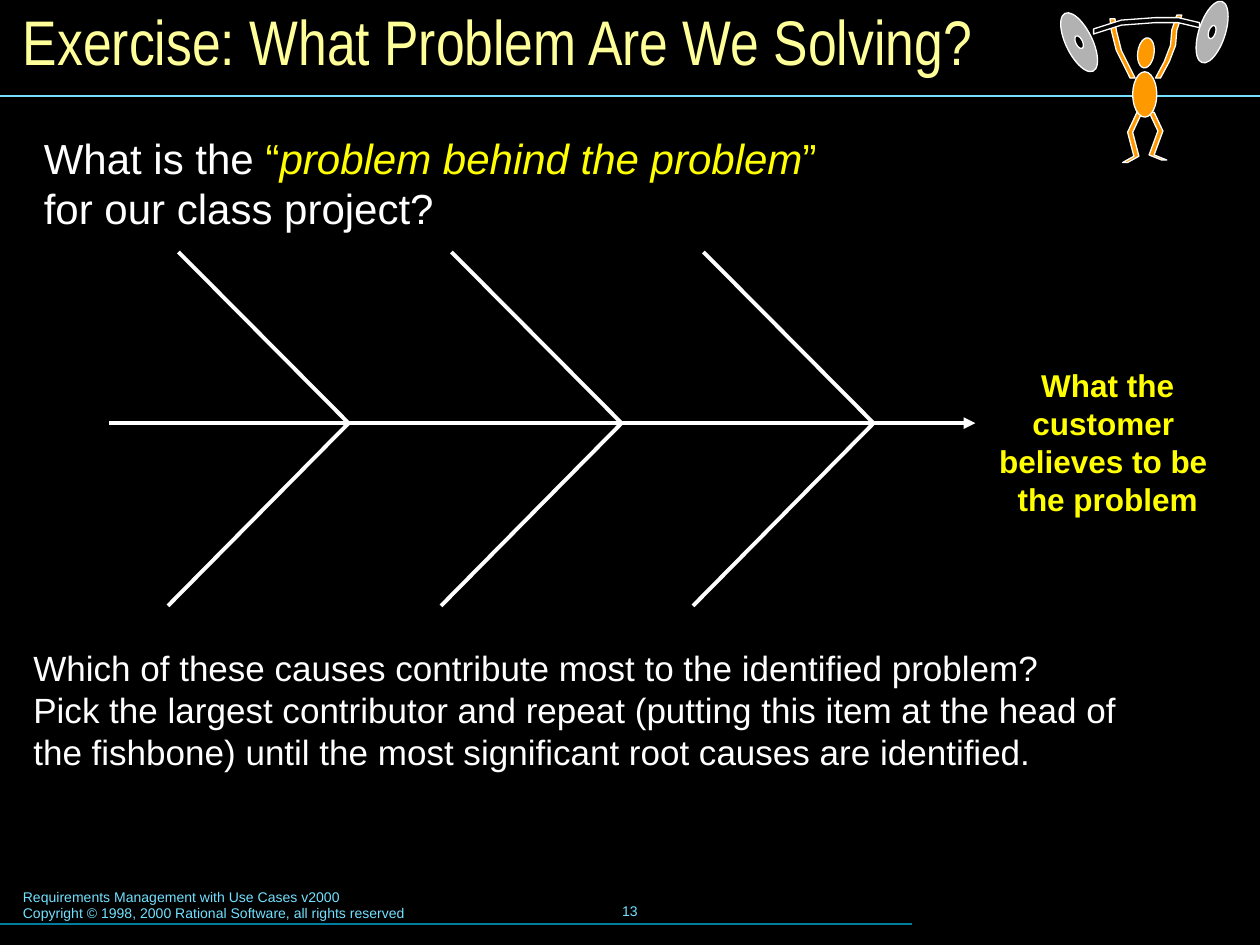
"""Build the fishbone exercise slide with its weightlifter figure."""
from dataclasses import dataclass

from pptx import Presentation, util as u
from pptx.dml.color import RGBColor
from pptx.enum import shapes, text
from pptx.oxml import ns, xmlchemy


@dataclass(frozen=True)
class Theme:
    background: str = "000000"
    body: str = "FFFFFF"
    title: str = "FFFF99"
    accent: str = "FFFF00"
    footer: str = "73E1FF"
    footer_rule: str = "007E9F"
    skin: str = "FF9900"
    plate: str = "B2B2B2"
    font: str = "Arial"
    title_font: str = "Arial Narrow"
    title_size: int = 36
    question_size: int = 24
    task_size: int = 20
    problem_size: int = 18
    footer_size: int = 8
    thin: float = 0.75
    thick: float = 2.25


THEME = Theme()
COLUMNS = 120
FIGURE_UNITS = 1000

FOOTER = [
    "Requirements Management with Use Cases v2000",
    "Copyright © 1998, 2000 Rational Software, all rights reserved",
]
TITLE = ["Exercise: What Problem Are We Solving?"]
QUESTION = [
    ("What is the ", THEME.body, False),
    ("“", THEME.accent, False),
    ("problem behind the problem", THEME.accent, True),
    ("”", THEME.accent, False),
    (" for our class project?", THEME.body, False),
]
TASK = [
    "Which of these causes contribute most to the identified problem?\v"
    "Pick the largest contributor and repeat (putting this item at the head of "
    "the fishbone) until the most significant root causes are identified."
]
PROBLEM = ["What the customer \vbelieves to be \vthe problem"]

BONE_STARTS = [17, 43, 67]
BONE_TOP, SPINE_ROW, BONE_BOTTOM = 24, 40.3, 57.7
BONE_RUN = 16.2

LIMBS = [
    [(936, 12), (932, 24), (931, 36), (926, 49), (919, 62)],
    [(883, 15), (884, 24), (888, 40), (893, 50), (899, 62)],
    [(914, 89), (921, 104), (914, 123), (924, 127)],
    [(905, 88), (897, 105), (902, 124), (893, 129)],
]
BAR = [(868, 25), (890, 18.5), (917, 15.5), (935, 16), (952, 20)]
HALF_WIDTH = 2
BODY_OVALS = [
    ((909.5, 42), (13, 24), 8, THEME.skin),
    ((908.5, 75), (19, 36), 0, THEME.skin),
]
PLATES = [((962, 25.5), 18), ((856.5, 33.5), -26)]
PLATE_SIZE, HUB_SIZE = (21, 51), (5.5, 11)

presentation = Presentation()
presentation.slide_width, presentation.slide_height = u.Inches(10), u.Inches(7.5)
slide = presentation.slides.add_slide(presentation.slide_layouts[6])
slide.background.fill.solid()
slide.background.fill.fore_color.rgb = RGBColor.from_string(THEME.background)
CELL = presentation.slide_width / COLUMNS
FIGURE_CELL = presentation.slide_width / FIGURE_UNITS


def scaled(values, cell=CELL):
    return [round(value * cell) for value in values]


def add_text(place, lines, size, color, font=THEME.font, bold=False, wrap=True,
             align=text.PP_ALIGN.LEFT, anchor=text.MSO_ANCHOR.TOP):
    frame = slide.shapes.add_textbox(*scaled(place)).text_frame
    frame.word_wrap, frame.vertical_anchor = wrap, anchor
    frame.text = "\n".join(lines)
    for paragraph in frame.paragraphs:
        paragraph.alignment = align
        paragraph.font.name, paragraph.font.size = font, u.Pt(size)
        paragraph.font.bold = bold
        paragraph.font.color.rgb = RGBColor.from_string(color)
    return frame


def add_line(start, end, color=THEME.body, weight=THEME.thick, arrow=False):
    line = slide.shapes.add_connector(
        shapes.MSO_CONNECTOR.STRAIGHT, *scaled(start), *scaled(end))
    line.line.color.rgb = RGBColor.from_string(color)
    line.line.width = u.Pt(weight)
    if arrow:
        tail = xmlchemy.OxmlElement("a:tailEnd")
        tail.set("type", "triangle")
        line._element.find(".//" + ns.qn("a:ln")).append(tail)
    line._element.find(ns.qn("p:spPr")).append(xmlchemy.OxmlElement("a:effectLst"))


def paint(shape, color):
    shape.shadow.inherit = False
    shape.fill.solid()
    shape.fill.fore_color.rgb = RGBColor.from_string(color)
    shape.line.color.rgb = RGBColor.from_string(THEME.body)
    shape.line.width = u.Pt(THEME.thin)


def add_band(group, middle, shift_x, shift_y, color):
    near = [(x - shift_x, y - shift_y) for x, y in middle]
    far = [(x + shift_x, y + shift_y) for x, y in reversed(middle)]
    builder = group.shapes.build_freeform(*near[0], scale=FIGURE_CELL)
    builder.add_line_segments(near[1:] + far, close=True)
    paint(builder.convert_to_shape(), color)


def add_oval(group, center, size, angle, color):
    corner = [middle - length / 2 for middle, length in zip(center, size)]
    oval = group.shapes.add_shape(
        shapes.MSO_SHAPE.OVAL, *scaled([*corner, *size], FIGURE_CELL))
    oval.rotation = angle
    paint(oval, color)


def add_weightlifter():
    group = slide.shapes.add_group_shape()
    for limb in LIMBS:
        add_band(group, limb, HALF_WIDTH, 0, THEME.skin)
    for oval in BODY_OVALS:
        add_oval(group, *oval)
    add_band(group, BAR, 0, HALF_WIDTH, THEME.background)
    for center, angle in PLATES:
        add_oval(group, center, PLATE_SIZE, angle, THEME.plate)
        add_oval(group, center, HUB_SIZE, angle, THEME.background)


add_text((1, 84, 61.2, 4.4), FOOTER, THEME.footer_size, THEME.footer)
add_text((41, 83.75, 38, 6), ["13"], THEME.footer_size, THEME.footer, wrap=False,
         align=text.PP_ALIGN.CENTER, anchor=text.MSO_ANCHOR.MIDDLE)
add_line((0, 88), (86.9, 88), THEME.footer_rule, THEME.thin)
add_line((0, 9.15), (COLUMNS, 9.15), THEME.footer, THEME.thin)
add_text((1, 1, 118, 7), TITLE, THEME.title_size, THEME.title, THEME.title_font,
         anchor=text.MSO_ANCHOR.BOTTOM)

question = add_text((3, 12, 79, 10.8), [""], THEME.question_size, THEME.body)
for words, color, italic in QUESTION:
    run = question.paragraphs[0].add_run()
    run.text, run.font.italic = words, italic
    run.font.color.rgb = RGBColor.from_string(color)

add_text((2, 61, 109, 13.2), TASK, THEME.task_size, THEME.body)
add_line((10.4, SPINE_ROW), (92.9, SPINE_ROW), arrow=True)
for column in BONE_STARTS:
    joint = (column + BONE_RUN, SPINE_ROW)
    add_line((column, BONE_TOP), joint)
    add_line((column - 1, BONE_BOTTOM), joint)
add_weightlifter()
add_text((91, 34.3, 29, 15.6), PROBLEM, THEME.problem_size, THEME.accent, bold=True,
         align=text.PP_ALIGN.CENTER)

presentation.save("out.pptx")
